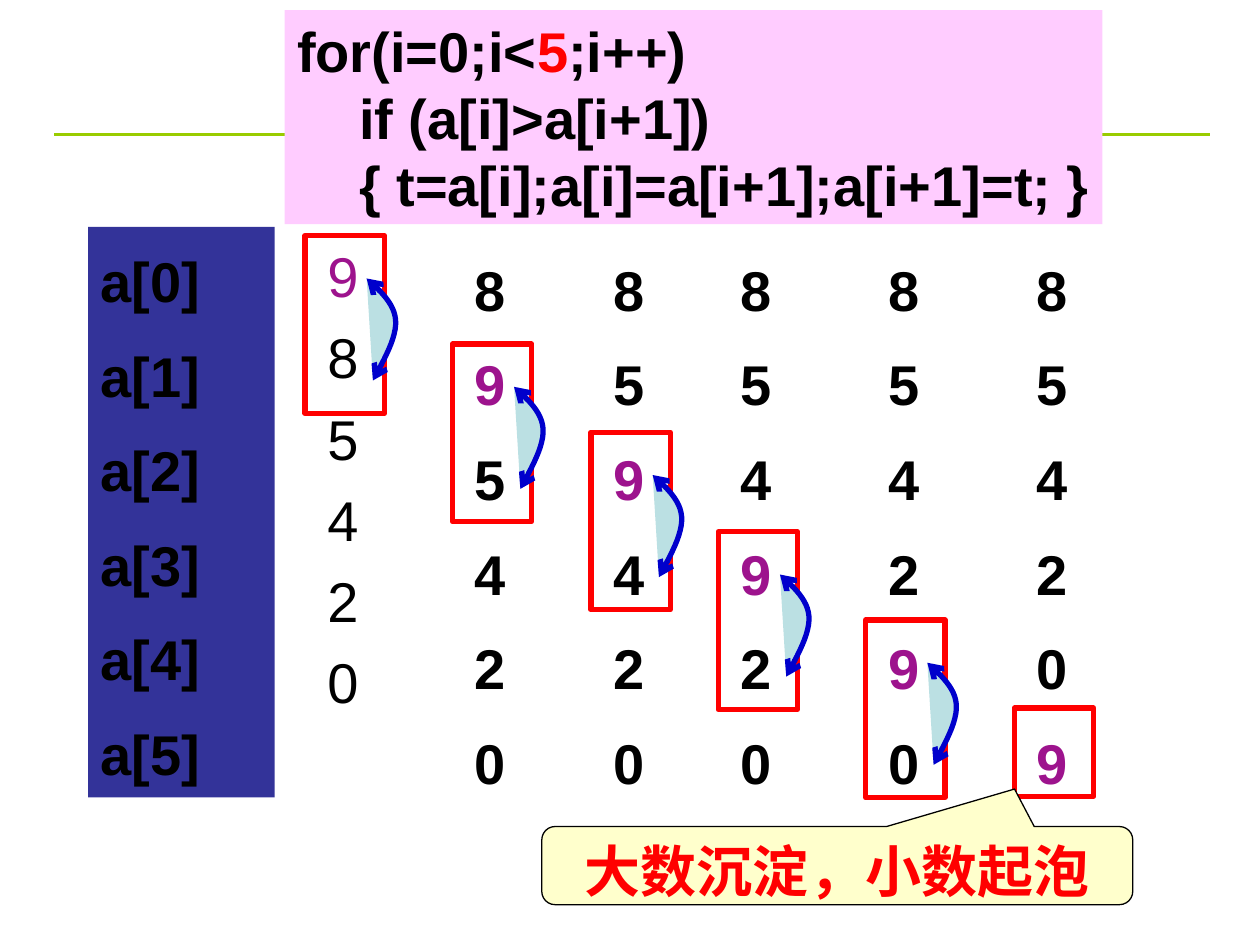
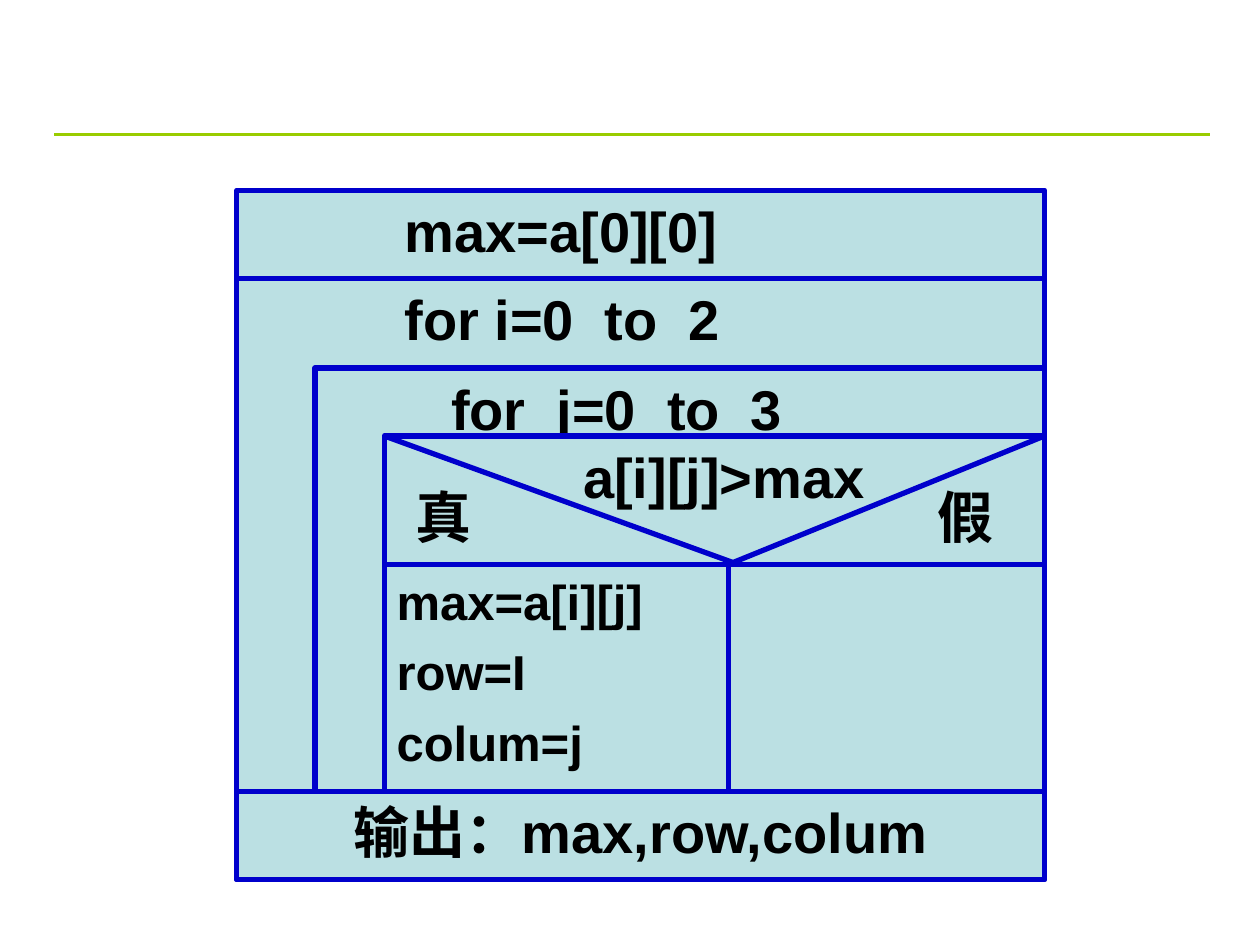
import pptx
import pptx.dml.color
import pptx.enum.shapes
import pptx.enum.text
import pptx.oxml.ns
import pptx.oxml.xmlchemy
import pptx.util

Inches = pptx.util.Inches
Pt = pptx.util.Pt
RGBColor = pptx.dml.color.RGBColor
Shape = pptx.enum.shapes.MSO_SHAPE
Align = pptx.enum.text.PP_ALIGN
OxmlElement = pptx.oxml.xmlchemy.OxmlElement

BLACK = RGBColor(0x00, 0x00, 0x00)
RED = RGBColor(0xFF, 0x00, 0x00)
PURPLE = RGBColor(0x9D, 0x13, 0x8D)
BLUE = RGBColor(0x00, 0x00, 0xCC)
NAVY = RGBColor(0x33, 0x33, 0x99)
PALE_BLUE = RGBColor(0xBB, 0xE0, 0xE3)
PINK = RGBColor(0xFF, 0xCC, 0xFF)
CREAM = RGBColor(0xFF, 0xFF, 0xCC)
GREEN = RGBColor(0x99, 0xCC, 0x00)

FONT = "Arial"
HEAVY = 3
NUMBERS = [9, 8, 5, 4, 2, 0]
COLUMN_LEFTS = [2.5, 3.67, 4.77, 5.78, 6.95, 8.13]
FRAME_TOPS = [1.87, 2.73, 3.43, 4.22, 4.92, 5.62]
SWAP_CURVE = [
    [(0.05, 0.81), (0.14, 0.64), (0.24, 0.47), (0.23, 0.33)],
    [(0.23, 0.33), (0.22, 0.2), (0.11, 0.1), (0, 0)],
]


def write_text(shape, lines, size=32, bold=True, color=BLACK, align=Align.LEFT,
               line_spacing=None, space_before=0, inset_left=0.1,
               inset_top=0.05, wrap=True):
    """Fill a shape with lines; each is a string or a list of (text, color) runs."""
    frame = shape.text_frame
    frame.word_wrap = wrap
    frame.vertical_anchor = pptx.enum.text.MSO_ANCHOR.TOP
    frame.margin_left, frame.margin_right = Inches(inset_left), Inches(0.1)
    frame.margin_top, frame.margin_bottom = Inches(inset_top), Inches(0.05)
    for index, line in enumerate(lines):
        paragraph = frame.add_paragraph() if index else frame.paragraphs[0]
        paragraph.alignment = align
        paragraph.space_before = Pt(space_before if index else 0)
        if line_spacing:
            paragraph.line_spacing = line_spacing
        for text, run_color in [(line, color)] if isinstance(line, str) else line:
            run = paragraph.add_run()
            run.text = text
            run.font.name = FONT
            run.font.size = Pt(size)
            run.font.bold = bold
            run.font.color.rgb = run_color


def style_shape(shape, fill=None, line=None, width=HEAVY):
    shape.shadow.inherit = False
    if fill is None:
        shape.fill.background()
    else:
        shape.fill.solid()
        shape.fill.fore_color.rgb = fill
    if line is None:
        shape.line.fill.background()
    else:
        shape.line.color.rgb = line
        shape.line.width = Pt(width)


def add_box(shapes, left, top, width, height, fill=None, line=None,
            line_width=HEAVY, kind=Shape.FLOWCHART_PROCESS):
    box = shapes.add_shape(kind, Inches(left), Inches(top), Inches(width), Inches(height))
    style_shape(box, fill, line, line_width)
    return box


def add_line(shapes, start, end, color=BLUE, width=HEAVY):
    line = shapes.add_connector(
        pptx.enum.shapes.MSO_CONNECTOR.STRAIGHT, *map(Inches, start + end))
    line.line.color.rgb = color
    line.line.width = Pt(width)
    line._element.spPr.append(OxmlElement("a:effectLst"))


def add_slide(presentation):
    """Add a blank slide with the shared green rule."""
    slide = presentation.slides.add_slide(presentation.slide_layouts[6])
    add_line(slide.shapes, (0.43, 1.07), (9.6, 1.07), GREEN, 1.5)
    return slide


def bezier_points(start, control1, control2, end, steps=12):
    for step in range(steps + 1):
        t = step / steps
        weights = ((1 - t) ** 3, 3 * t * (1 - t) ** 2, 3 * t * t * (1 - t), t ** 3)
        yield tuple(sum(w * point[axis] for w, point in
                        zip(weights, (start, control1, control2, end)))
                    for axis in (0, 1))


def add_swap_arrow(shapes, left, top):
    points = [(Inches(left + x), Inches(top + y))
              for segment in SWAP_CURVE for x, y in bezier_points(*segment)]
    builder = shapes.build_freeform(*points[0])
    builder.add_line_segments(points[1:], close=False)
    arrow = builder.convert_to_shape()
    style_shape(arrow, PALE_BLUE, BLUE)
    outline = arrow._element.spPr.find(pptx.oxml.ns.qn("a:ln"))
    for tag in ("a:headEnd", "a:tailEnd"):
        end = OxmlElement(tag)
        end.set("type", "arrow")
        outline.append(end)


def add_pass_column(shapes, step, left, top, frame_top):
    """Show the numbers after a given count of swaps, framing the next pair."""
    numbers = NUMBERS[1:step + 1] + NUMBERS[:1] + NUMBERS[step + 1:]
    lines = [[(str(number), PURPLE if number == NUMBERS[0] else BLACK)]
             for number in numbers]
    column = shapes.add_textbox(Inches(left), Inches(top), Inches(0.78), Inches(4.53))
    write_text(column, lines, bold=step > 0, space_before=8,
               line_spacing=1.2 if step else None)
    is_last = step == len(NUMBERS) - 1
    frame_left = left - 0.08
    add_box(shapes, frame_left, frame_top, 0.63, 0.7 if is_last else 1.41, line=RED)
    if not is_last:
        add_swap_arrow(shapes, frame_left + 0.49, frame_top + 0.34)


def add_index_labels(shapes, left, top, width, height):
    box = add_box(shapes, left, top, width, height, NAVY, kind=Shape.RECTANGLE)
    write_text(box, [f"a[{index}]" for index in range(len(NUMBERS))],
               line_spacing=1.2, space_before=8)


def add_code(shapes, left, top, width, height):
    box = add_box(shapes, left, top, width, height, PINK, kind=Shape.RECTANGLE)
    write_text(box, [
        [("for(i=0;i<", BLACK), ("5", RED), (";i++)", BLACK)],
        "    if (a[i]>a[i+1])",
        "    { t=a[i];a[i]=a[i+1];a[i+1]=t; }",
    ], wrap=False)


def add_callout(shapes, left, top, width, height):
    callout = add_box(shapes, left, top, width, height, CREAM, BLACK, 0.75,
                      Shape.ROUNDED_RECTANGULAR_CALLOUT)
    for index, value in enumerate((0.3, -0.98, 0.17)):
        callout.adjustments[index] = value
    write_text(callout, ["大数沉淀，小数起泡"], color=RED, align=Align.CENTER)


def build_bubble_slide(presentation):
    shapes = add_slide(presentation).shapes
    for step, (left, frame_top) in enumerate(zip(COLUMN_LEFTS, FRAME_TOPS)):
        add_pass_column(shapes, step, left, 1.87, frame_top)
    add_callout(shapes, 4.3, 6.56, 4.69, 0.62)
    add_index_labels(shapes, 0.7, 1.8, 1.48, 4.53)
    add_code(shapes, 2.26, 0.08, 6.49, 1.7)


def add_branch(shapes, left, top, width, height):
    """Draw the condition with its true and false sides."""
    right, bottom = left + width, top + height
    split_x, split_y = left + 2.73, top + 1.02
    body = add_box(shapes, left, top, width, height, PALE_BLUE, BLUE)
    write_text(body, ["max=a[i][j]", "row=I", "colum=j"], size=28,
               line_spacing=1.2, inset_top=0.98)
    for text, x, y, label_width in (("a[i][j]>max", 1.48, 0, 2.58),
                                    ("真", 0.15, 0.32, 0.78),
                                    ("假", 4.29, 0.32, 0.78)):
        write_text(add_box(shapes, left + x, top + y, label_width, 0.7), [text])
    add_line(shapes, (left, split_y), (right, split_y))
    add_line(shapes, (split_x, split_y), (right, top))
    add_line(shapes, (left, top), (split_x + 0.08, split_y))
    add_line(shapes, (split_x, bottom), (split_x, split_y))


def add_structure_chart(shapes, left, top, width, height):
    row = 0.7
    right, output_top = left + width, top + height - row
    outer_loop = add_box(shapes, left, top + row, width, height - row, PALE_BLUE, BLUE)
    write_text(outer_loop, ["for i=0  to  2"], inset_left=1.33)
    inner_left, inner_top = left + 0.62, top + 2 * row + 0.01
    inner_loop = add_box(shapes, inner_left, inner_top, right - inner_left,
                         output_top - inner_top, PALE_BLUE, BLUE, kind=Shape.RECTANGLE)
    write_text(inner_loop, ["for  j=0  to  3"], inset_left=1.08)
    branch_left, branch_top = inner_left + 0.55, inner_top + 0.54
    add_branch(shapes, branch_left, branch_top,
               right - branch_left, output_top - branch_top)
    start = add_box(shapes, left, top, width, row, PALE_BLUE, BLUE)
    write_text(start, ["max=a[0][0]"], inset_left=1.33)
    output = add_box(shapes, left, output_top, width, row, PALE_BLUE, BLUE)
    write_text(output, ["输出：max,row,colum"], align=Align.CENTER)


def build_maximum_slide(presentation):
    group = add_slide(presentation).shapes.add_group_shape()
    add_structure_chart(group.shapes, 1.88, 1.51, 6.41, 5.47)


def main():
    presentation = pptx.Presentation()
    presentation.slide_width = Inches(10)
    presentation.slide_height = Inches(7.5)
    build_bubble_slide(presentation)
    build_maximum_slide(presentation)
    presentation.save("out.pptx")


if __name__ == "__main__":
    main()
